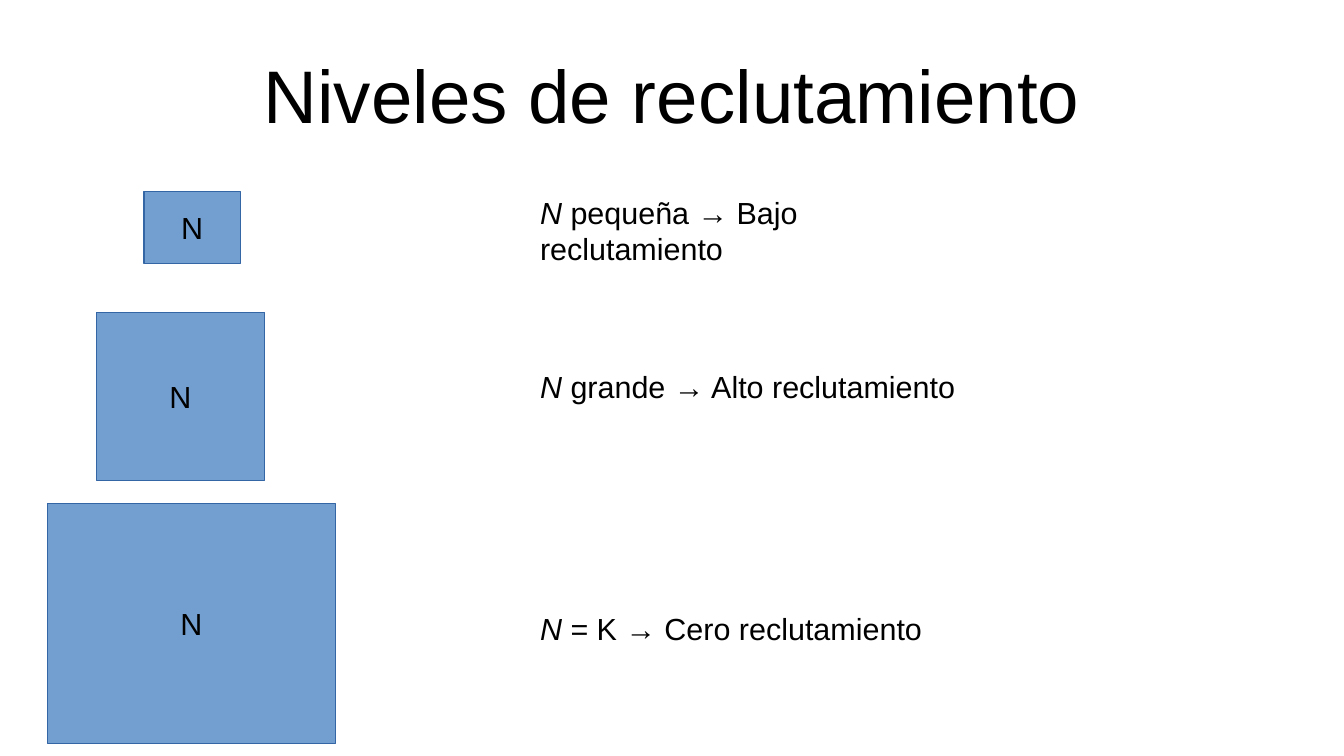
from pptx import Presentation
from pptx import util as u
from pptx.dml.color import RGBColor
from pptx.enum import shapes, text


def paint(color_format, color):
    color_format.rgb = RGBColor.from_string(color)


class RecruitmentSlide:
    FONT, INK, FILL, EDGE = "Arial", "000000", "729FCF", "3465A4"
    TITLE_SIZE, BODY_SIZE = 44, 18

    def __init__(self, deck):
        self.slide = deck.slides.add_slide(deck.slide_layouts[5])

    def set_text(self, frame, runs, size, align, anchor, insets=(0.1, 0.05)):
        """Fill a text frame with one paragraph of (wording, italic) runs."""
        frame.word_wrap = True
        frame.auto_size = text.MSO_AUTO_SIZE.NONE
        frame.vertical_anchor = anchor
        frame.margin_left = frame.margin_right = u.Inches(insets[0])
        frame.margin_top = frame.margin_bottom = u.Inches(insets[1])
        paragraph = frame.paragraphs[0]
        paragraph.alignment = align
        for wording, italic in runs:
            run = paragraph.add_run()
            run.text = wording
            run.font.name = self.FONT
            run.font.size = u.Pt(size)
            run.font.italic = italic
            paint(run.font.color, self.INK)

    def title(self, wording, left, top, width, height):
        heading = self.slide.shapes.title
        heading.left, heading.top = u.Inches(left), u.Inches(top)
        heading.width, heading.height = u.Inches(width), u.Inches(height)
        self.set_text(heading.text_frame, [(wording, False)], self.TITLE_SIZE,
                      text.PP_ALIGN.CENTER, text.MSO_ANCHOR.MIDDLE, (0, 0))

    def population(self, left, top, width, height):
        square = self.slide.shapes.add_shape(
            shapes.MSO_SHAPE.RECTANGLE,
            *map(u.Inches, (left, top, width, height)))
        square.shadow.inherit = False
        square.fill.solid()
        paint(square.fill.fore_color, self.FILL)
        paint(square.line.color, self.EDGE)
        square.line.width = u.Pt(0)
        self.set_text(square.text_frame, [("N", False)], self.BODY_SIZE,
                      text.PP_ALIGN.CENTER, text.MSO_ANCHOR.MIDDLE)

    def outcome(self, wording, left, top, width, height):
        label = self.slide.shapes.add_textbox(
            *map(u.Inches, (left, top, width, height)))
        self.set_text(label.text_frame, [("N", True), (wording, False)],
                      self.BODY_SIZE, text.PP_ALIGN.LEFT, text.MSO_ANCHOR.TOP)


def main():
    deck = Presentation()
    deck.slide_width, deck.slide_height = u.Inches(11.02), u.Inches(6.2)
    slide = RecruitmentSlide(deck)
    slide.title("Niveles de reclutamiento", 0.55, 0.25, 9.92, 1.04)

    levels = [
        ((1.18, 1.57, 0.79, 0.59), " pequeña → Bajo reclutamiento", 1.54, 0.66),
        ((0.79, 2.56, 1.38, 1.38), " grande → Alto reclutamiento", 2.97, 0.38),
        ((0.39, 4.13, 2.36, 1.97), " = K → Cero reclutamiento", 4.95, 0.38),
    ]
    for population_box, outcome, top, height in levels:
        slide.population(*population_box)
        slide.outcome(outcome, 4.33, top, 3.74, height)

    deck.save("out.pptx")


if __name__ == "__main__":
    main()
